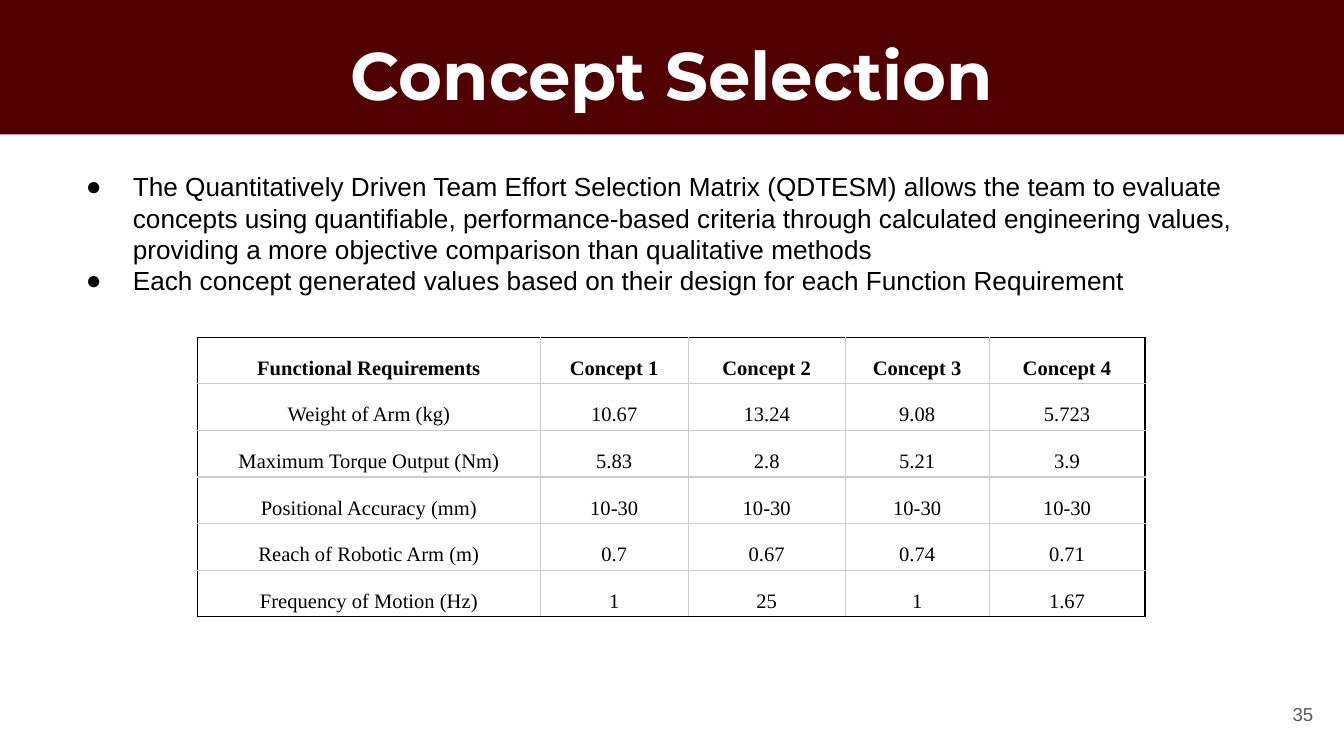
from dataclasses import dataclass

from lxml import etree
from pptx import Presentation
from pptx import util as u
from pptx.dml import color
from pptx.enum import shapes, text
from pptx.oxml import ns

COLORS = {
    "maroon": "500000",
    "white": "FFFFFF",
    "black": "000000",
    "grid": "CCCCCC",
    "page": "595959",
}
SIDES = ("left", "top", "right", "bottom")


@dataclass
class TextStyle:
    font: str
    size: float
    color: str
    bold: bool = False
    align: text.PP_ALIGN = text.PP_ALIGN.LEFT
    spacing: float = 1.0


@dataclass
class Box:
    left: float
    top: float
    width: float
    height: float

    def emu(self) -> list[int]:
        return [u.Inches(v) for v in (self.left, self.top, self.width, self.height)]


def rgb(name: str) -> color.RGBColor:
    return color.RGBColor.from_string(COLORS[name])


def add_bullet(paragraph) -> None:
    props = paragraph._p.get_or_add_pPr()
    props.set("marL", str(u.Inches(0.5)))
    props.set("indent", str(u.Inches(-0.35)))
    bullet_color = etree.SubElement(props, ns.qn("a:buClr"))
    etree.SubElement(bullet_color, ns.qn("a:srgbClr"), val=COLORS["black"])
    etree.SubElement(props, ns.qn("a:buFont"), typeface="Arial")
    etree.SubElement(props, ns.qn("a:buChar"), char="●")


def write(frame, lines: list[str], style: TextStyle, bulleted: bool = False) -> None:
    for index, line in enumerate(lines):
        paragraph = frame.add_paragraph() if index else frame.paragraphs[0]
        if bulleted:
            add_bullet(paragraph)
        paragraph.alignment = style.align
        paragraph.line_spacing = style.spacing
        run = paragraph.add_run()
        run.text = line
        formats = {"name": style.font, "size": u.Pt(style.size), "bold": style.bold}
        for key, value in formats.items():
            setattr(run.font, key, value)
        run.font.color.rgb = rgb(style.color)


def set_frame(frame, anchor: text.MSO_ANCHOR) -> None:
    formats = {"word_wrap": True, "vertical_anchor": anchor}
    formats |= {f"margin_{side}": u.Inches(0.1) for side in SIDES}
    for key, value in formats.items():
        setattr(frame, key, value)


def add_text(slide, box: Box, lines: list[str], style: TextStyle,
             anchor: text.MSO_ANCHOR, bulleted: bool = False) -> None:
    frame = slide.shapes.add_textbox(*box.emu()).text_frame
    set_frame(frame, anchor)
    write(frame, lines, style, bulleted)


def add_banner(slide, box: Box, title: str, style: TextStyle) -> None:
    banner = slide.shapes.add_shape(shapes.MSO_SHAPE.RECTANGLE, *box.emu())
    banner.shadow.inherit = False
    banner.fill.solid()
    banner.fill.fore_color.rgb = rgb("maroon")
    banner.line.fill.background()
    set_frame(banner.text_frame, text.MSO_ANCHOR.MIDDLE)
    write(banner.text_frame, [title], style)


def set_border(cell, side: str, name: str) -> None:
    line = etree.SubElement(cell._tc.get_or_add_tcPr(), ns.qn(f"a:ln{side}"), w=str(u.Pt(0.75)))
    fill = etree.SubElement(line, ns.qn("a:solidFill"))
    etree.SubElement(fill, ns.qn("a:srgbClr"), val=COLORS[name])


def add_matrix(slide, left: float, top: float, widths: list[float], height: float,
               rows: list[list[str]], header: TextStyle, body: TextStyle) -> None:
    box = Box(left, top, sum(widths), height)
    table = slide.shapes.add_table(len(rows), len(widths), *box.emu()).table
    table.first_row = table.horz_banding = False
    for column, width in zip(table.columns, widths):
        column.width = u.Inches(width)
    last_row, last_column = len(rows) - 1, len(widths) - 1
    for r, values in enumerate(rows):
        table.rows[r].height = u.Inches(height / len(rows))
        for c, value in enumerate(values):
            cell = table.cell(r, c)
            # Black on the outer edge, grey between cells
            outer = {"L": c == 0, "R": c == last_column, "T": r == 0, "B": r == last_row}
            for side, is_outer in outer.items():
                set_border(cell, side, "black" if is_outer else "grid")
            cell.fill.background()
            cell.vertical_anchor = text.MSO_ANCHOR.BOTTOM
            for side in SIDES:
                setattr(cell, f"margin_{side}", u.Inches(0.03))
            write(cell.text_frame, [value], body if r else header)


def main() -> None:
    # Widescreen 16:9 page
    deck = Presentation()
    deck.slide_width, deck.slide_height = u.Inches(10), u.Inches(10 * 9 / 16)
    slide = deck.slides.add_slide(deck.slide_layouts[6])
    center = text.PP_ALIGN.CENTER

    # Title banner
    add_banner(slide, Box(0, 0, 10, 1), "Concept Selection",
               TextStyle("Montserrat", 36, "white", True, center, 1.15))

    # Explanation of the matrix
    explanation = [
        "The Quantitatively Driven Team Effort Selection Matrix (QDTESM) allows the team to "
        "evaluate concepts using quantifiable, performance-based criteria through calculated "
        "engineering values, providing a more objective comparison than qualitative methods",
        "Each concept generated values based on their design for each Function Requirement",
    ]
    add_text(slide, Box(0.39, 1.17, 9.22, 1.05), explanation,
             TextStyle("Arial", 14, "black"), text.MSO_ANCHOR.TOP, bulleted=True)

    # Selection matrix
    requirements = [
        ["Functional Requirements", *(f"Concept {n}" for n in range(1, 5))],
        ["Weight of Arm (kg)", "10.67", "13.24", "9.08", "5.723"],
        ["Maximum Torque Output (Nm)", "5.83", "2.8", "5.21", "3.9"],
        ["Positional Accuracy (mm)", *["10-30"] * 4],
        ["Reach of Robotic Arm (m)", "0.7", "0.67", "0.74", "0.71"],
        ["Frequency of Motion (Hz)", "1", "25", "1", "1.67"],
    ]
    add_matrix(slide, 1.47, 2.51, [2.55, 1.1, 1.17, 1.07, 1.16], 2.08, requirements,
               TextStyle("Times New Roman", 11, "black", True, center, 1.15),
               TextStyle("Times New Roman", 11, "black", False, center, 1.15))

    # Page number
    add_text(slide, Box(9.27, 5.1, 0.6, 0.43), ["35"],
             TextStyle("Arial", 10, "page", align=text.PP_ALIGN.RIGHT), text.MSO_ANCHOR.MIDDLE)

    deck.save("out.pptx")


if __name__ == "__main__":
    main()
